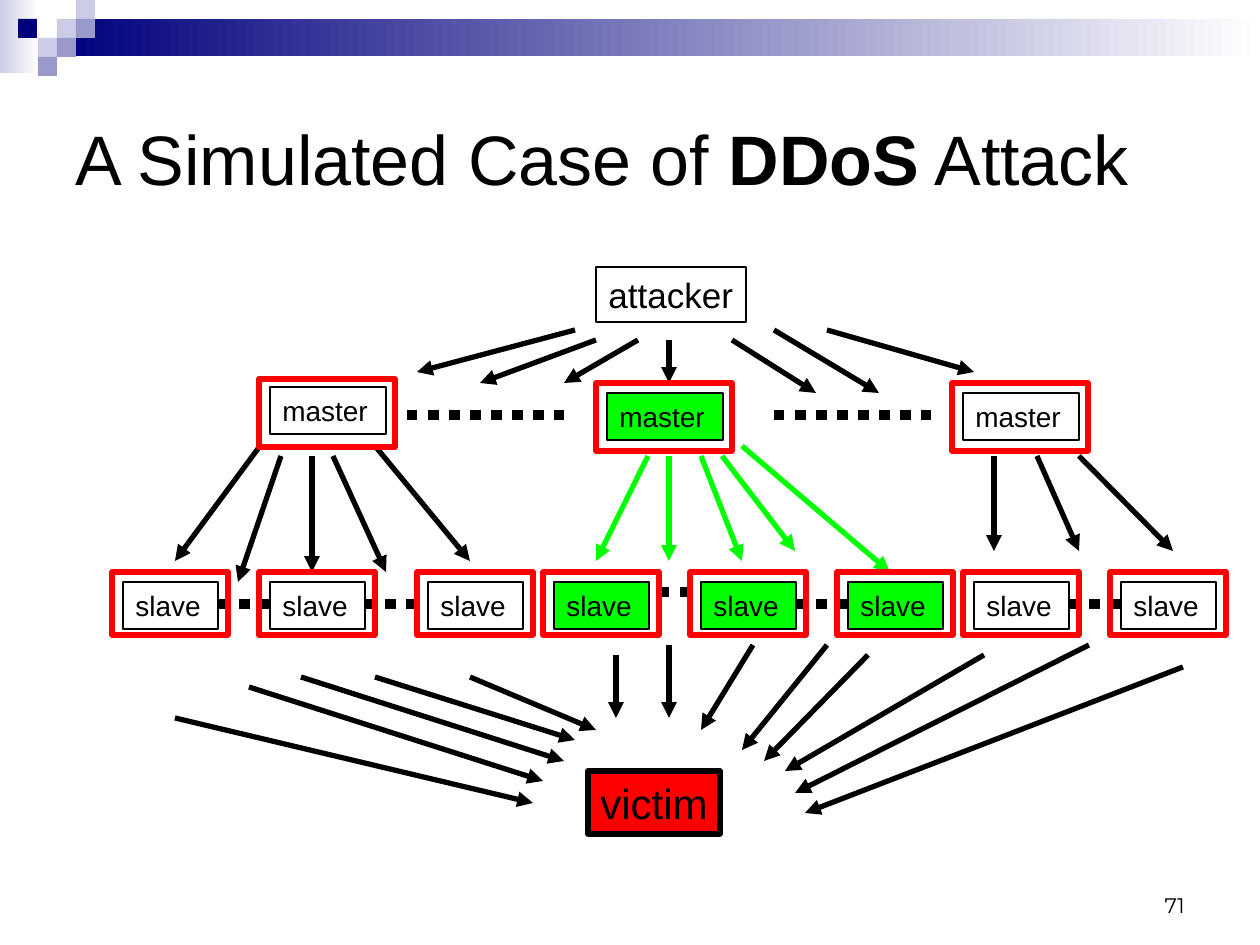
from lxml import etree
from pptx import Presentation
from pptx import util as u
from pptx.dml.color import RGBColor
from pptx.enum import dml, shapes, text
from pptx.oxml.ns import qn

PX = 914400 / 126
BLACK = RGBColor(0x00, 0x00, 0x00)
WHITE = RGBColor(0xFF, 0xFF, 0xFF)
RED = RGBColor(0xFF, 0x00, 0x00)
GREEN = RGBColor(0x00, 0xFF, 0x00)
NAVY = RGBColor(0x00, 0x00, 0x7D)
LAVENDER = RGBColor(0xCC, 0xCC, 0xE6)
PERIWINKLE = RGBColor(0x99, 0x99, 0xCC)

prs = Presentation()
prs.slide_width, prs.slide_height = round(1260 * PX), round(945 * PX)
slide = prs.slides.add_slide(prs.slide_layouts[5])


def add_box(x, y, w, h, fill=None, line=None, width=1.25, label="", size=16):
    box = slide.shapes.add_shape(
        shapes.MSO_SHAPE.RECTANGLE, *(round(v * PX) for v in (x, y, w, h)))
    box.shadow.inherit = False
    if fill is None:
        box.fill.background()
    else:
        box.fill.solid()
        box.fill.fore_color.rgb = fill
    if line is None:
        box.line.fill.background()
    else:
        box.line.color.rgb = line
        box.line.width = u.Pt(width)
    if label:
        frame = box.text_frame
        frame.text = label
        frame.word_wrap = False
        frame.vertical_anchor = text.MSO_ANCHOR.TOP
        frame.paragraphs[0].alignment = text.PP_ALIGN.LEFT
        font = frame.paragraphs[0].runs[0].font
        font.name, font.size, font.color.rgb = "Arial", u.Pt(size), BLACK
    return box


def add_line(x1, y1, x2, y2, color=BLACK, width=3, arrow=True):
    line = slide.shapes.add_connector(
        shapes.MSO_CONNECTOR.STRAIGHT, *(round(v * PX) for v in (x1, y1, x2, y2)))
    line.line.color.rgb = color
    line.line.width = u.Pt(width)
    if arrow:
        etree.SubElement(line.line._get_or_add_ln(), qn("a:tailEnd"), type="triangle")
    else:
        line.line.dash_style = dml.MSO_LINE.ROUND_DOT
    etree.SubElement(line._element.spPr, qn("a:effectLst"))


# Header bars fading to white
for x, y, w, h, start in ((0, 0, 39, 73, LAVENDER), (57, 19, 1203, 37, NAVY)):
    bar = add_box(x, y, w, h)
    bar.fill.gradient()
    bar.fill.gradient_angle = 0
    for stop, color in zip(bar.fill.gradient_stops, (start, WHITE)):
        stop.color.rgb = color

# Header mosaic
for x, y, color in ((57, 19, LAVENDER), (76, 0, LAVENDER), (76, 19, PERIWINKLE),
                    (38, 38, LAVENDER), (18, 19, NAVY), (57, 38, PERIWINKLE),
                    (38, 57, PERIWINKLE)):
    add_box(x, y, 19, 19, color)

# Title
title = slide.shapes.title
title.left, title.top, title.width, title.height = (
    round(v * PX) for v in (63, 63, 1134, 189))
title.text_frame.auto_size = text.MSO_AUTO_SIZE.NONE
title.text_frame.vertical_anchor = text.MSO_ANCHOR.MIDDLE
heading = title.text_frame.paragraphs[0]
heading.alignment = text.PP_ALIGN.LEFT
for words, bold in (("A Simulated Case of ", False), ("DDoS", True), (" Attack", False)):
    run = heading.add_run()
    run.text = words
    run.font.name, run.font.size, run.font.bold = "Arial", u.Pt(40), bold
    run.font.color.rgb = BLACK

# Page number
page = slide.shapes.add_textbox(*(round(v * PX) for v in (903, 861, 294, 63))).text_frame
page.text = "71"
page.word_wrap = True
page.vertical_anchor = text.MSO_ANCHOR.BOTTOM
page.paragraphs[0].alignment = text.PP_ALIGN.RIGHT
page_font = page.paragraphs[0].runs[0].font
page_font.name, page_font.size, page_font.color.rgb = "Montserrat", u.Pt(12), BLACK

# Attacker, masters and slaves
masters = ((259, 379, 387, None), (596, 383, 393, GREEN), (952, 383, 393, None))
slaves = ((112, None), (259, None), (417, None), (543, GREEN),
          (690, GREEN), (837, GREEN), (963, None), (1110, None))
add_box(596, 267, 150, 55, line=BLACK, label="attacker", size=20)
for x, frame_top, top, fill in masters:
    add_box(x + 11, top, 116, 47, fill, BLACK, label="master")
for x, fill in slaves:
    add_box(x + 11, 582, 95, 47, fill, BLACK, label="slave")

# Dots for the machines left out
for x1, x2, y in ((407, 564, 415), (774, 931, 415), (218, 281, 604), (364, 427, 604),
                  (659, 701, 592), (795, 848, 604), (1068, 1120, 604)):
    add_line(x1, y, x2, y, width=6, arrow=False)

# Attacker to masters
for ends in ((575, 330, 417, 372), (596, 340, 480, 383), (638, 340, 564, 383),
             (669, 340, 669, 383), (732, 340, 816, 393), (774, 330, 879, 393),
             (827, 330, 974, 372)):
    add_line(*ends)

# Masters to slaves
for ends in ((260, 446, 175, 561), (281, 456, 238, 582), (312, 456, 312, 572),
             (333, 456, 386, 572), (375, 446, 470, 561), (994, 456, 994, 551),
             (1037, 456, 1079, 551), (1079, 456, 1173, 551)):
    add_line(*ends)
for ends in ((648, 456, 596, 561), (669, 456, 669, 561), (701, 456, 742, 561),
             (722, 456, 795, 551), (742, 446, 890, 572)):
    add_line(*ends, color=GREEN)

# Red frames
for x, frame_top, top, fill in masters:
    add_box(x, frame_top, 136, 68, line=RED, width=3)
for x, fill in slaves:
    add_box(x, 572, 116, 63, line=RED, width=3)

# Slaves to victim
for ends in ((175, 718, 533, 803), (249, 687, 543, 781), (301, 677, 564, 761),
             (375, 677, 575, 740), (470, 677, 596, 730), (616, 655, 616, 718),
             (669, 645, 669, 718), (753, 645, 701, 730), (827, 645, 742, 750),
             (868, 655, 764, 761), (984, 655, 785, 771), (1089, 645, 795, 793),
             (1183, 667, 805, 813)):
    add_line(*ends)
add_box(588, 771, 132, 63, RED, BLACK, 3, "victim", 24)

prs.save("out.pptx")
